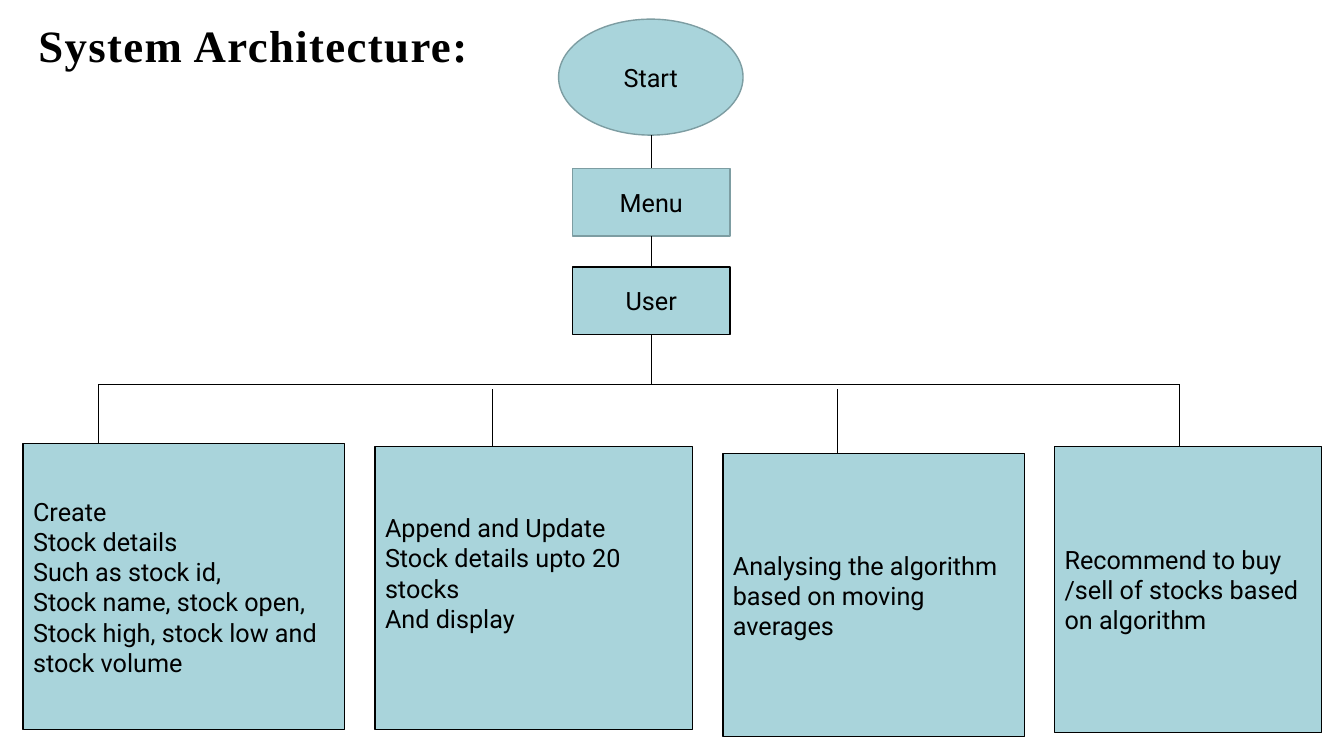
from lxml.etree import SubElement
from pptx import Presentation
from pptx.dml.color import RGBColor
from pptx.enum.shapes import MSO_CONNECTOR, MSO_SHAPE
from pptx.enum.text import MSO_ANCHOR, PP_ALIGN
from pptx.oxml.ns import qn
from pptx.util import Pt

PX = 9144
BLACK = RGBColor(0x00, 0x00, 0x00)
TEAL = RGBColor(0xA9, 0xD4, 0xDB)
TEAL_EDGE = RGBColor(0x7D, 0x9D, 0xA2)
TOP, BOTTOM = 0, 2

TITLE = ("System Architecture:", (38, 6, 608, 66))
CENTER_X = 646
STEPS = [
    ("Start", MSO_SHAPE.OVAL, 19, 183, 115, TEAL_EDGE),
    ("Menu", MSO_SHAPE.RECTANGLE, 167, 156, 67, TEAL_EDGE),
    ("User", MSO_SHAPE.RECTANGLE, 265, 156, 67, BLACK),
]
BUS_Y = 381
TASKS = [
    (["Create", "Stock details", "Such as stock id,", "Stock name, stock open,",
      "Stock high, stock low and stock volume"], (23, 440, 319, 284), 5, 98, BUS_Y),
    (["Append and Update", "Stock details upto 20 stocks", "And display"],
     (372, 443, 315, 281), 35, 488, 386),
    (["Analysing the algorithm based on moving averages"],
     (717, 450, 299, 281), 5, 831, 386),
    (["Recommend to buy /sell of stocks based on algorithm"],
     (1046, 443, 265, 284), 5, 1170, BUS_Y),
]


def scaled(*lengths):
    return [length * PX for length in lengths]


def write(shape, lines, align, font, **frame_format):
    frame = shape.text_frame
    for name, value in {"word_wrap": True, **frame_format}.items():
        setattr(frame, name, value)
    frame.text = "\n".join(lines)
    for paragraph in frame.paragraphs:
        paragraph.alignment = align
        paragraph.font.color.rgb = BLACK
        for run in paragraph.runs:
            run.font.color.rgb = BLACK
            for name, value in font.items():
                setattr(run.font, name, value)


def add_box(slide, kind, place, edge, lines, align, bottom_inset=5):
    box = slide.shapes.add_shape(kind, *scaled(*place))
    box.shadow.inherit = False
    box.fill.solid()
    box.fill.fore_color.rgb = TEAL
    box.line.color.rgb = edge
    box.line.width = Pt(1)
    write(box, lines, align, {"name": "Roboto", "size": Pt(18)},
          vertical_anchor=MSO_ANCHOR.MIDDLE, margin_bottom=bottom_inset * PX)
    return box


def add_line(slide, x1, y1, x2, y2):
    line = slide.shapes.add_connector(MSO_CONNECTOR.STRAIGHT, *scaled(x1, y1, x2, y2))
    line.line.color.rgb = BLACK
    line.line.width = Pt(0.5)
    SubElement(line._element.spPr, qn("a:effectLst"))
    return line


def main():
    deck = Presentation()
    deck.slide_width, deck.slide_height = scaled(1333, 750)
    slide = deck.slides.add_slide(deck.slide_layouts[6])

    title_text, title_place = TITLE
    title = slide.shapes.add_textbox(*scaled(*title_place))
    write(title, [title_text], PP_ALIGN.LEFT,
          {"name": "Times New Roman", "size": Pt(32), "bold": True},
          vertical_anchor=MSO_ANCHOR.BOTTOM,
          margin_left=0, margin_top=0, margin_right=0, margin_bottom=0)
    heading = title.text_frame.paragraphs[0]
    heading.line_spacing = 0.9
    heading.runs[0].font._element.set("spc", "100")

    previous_bottom = None
    for label, kind, top, width, height, edge in STEPS:
        place = (CENTER_X - width / 2, top, width, height)
        step = add_box(slide, kind, [int(v) for v in place], edge, [label], PP_ALIGN.CENTER)
        if previous_bottom is not None:
            link = add_line(slide, CENTER_X, previous_bottom, CENTER_X, top)
            if previous_kind == MSO_SHAPE.RECTANGLE:
                link.begin_connect(previous, BOTTOM)
            link.end_connect(step, TOP)
        previous, previous_kind, previous_bottom = step, kind, top + height

    trunk = add_line(slide, CENTER_X, previous_bottom, CENTER_X, BUS_Y)
    trunk.begin_connect(previous, BOTTOM)
    add_line(slide, TASKS[0][3], BUS_Y, TASKS[-1][3], BUS_Y)

    for lines, place, bottom_inset, branch_x, branch_top in TASKS:
        add_line(slide, branch_x, branch_top, branch_x, place[1])
        add_box(slide, MSO_SHAPE.RECTANGLE, place, BLACK, lines, PP_ALIGN.LEFT, bottom_inset)

    deck.save("out.pptx")


if __name__ == "__main__":
    main()
